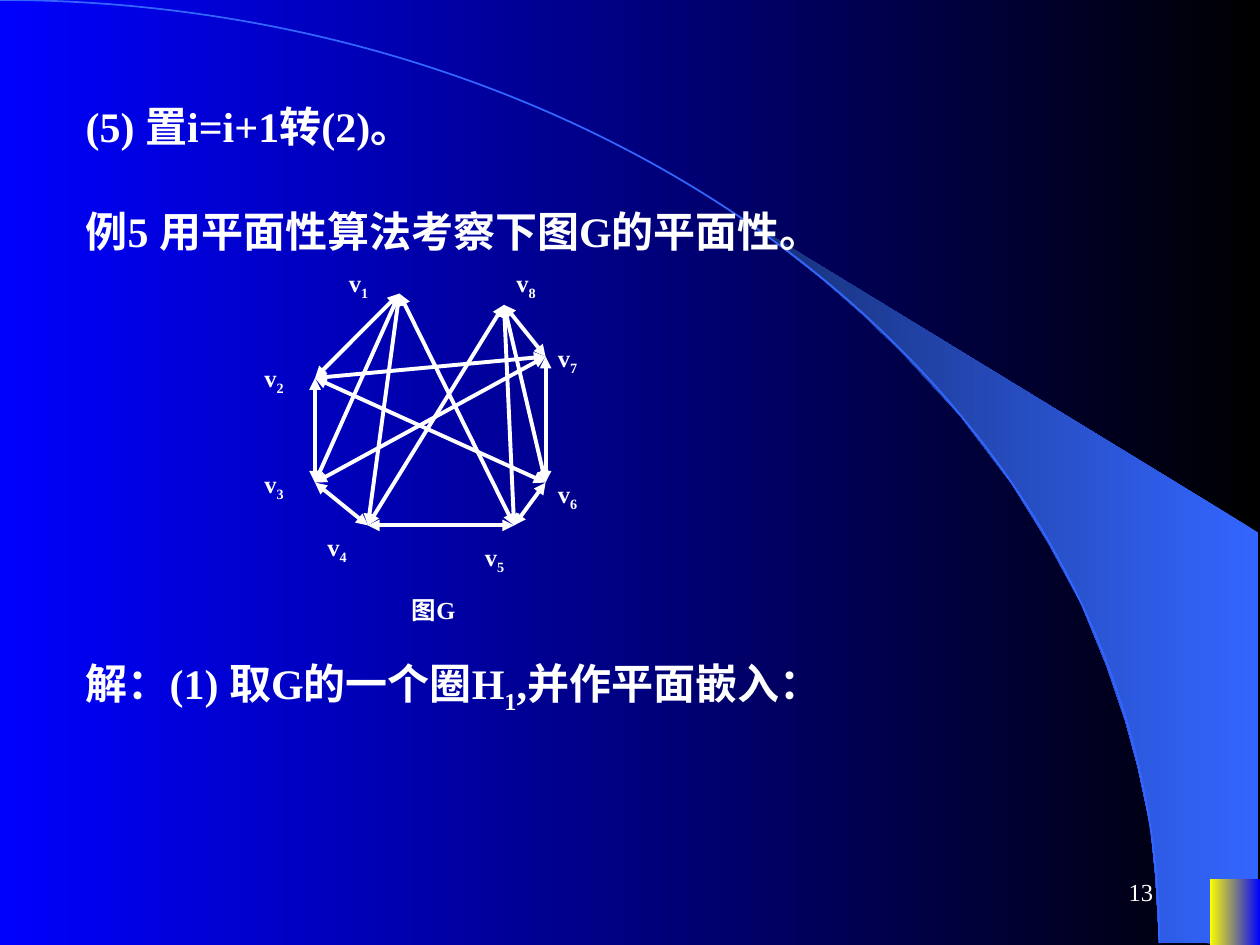
from lxml import etree
from pptx import Presentation
from pptx.dml.color import RGBColor
from pptx.enum.shapes import MSO_CONNECTOR, MSO_SHAPE
from pptx.enum.text import MSO_ANCHOR, MSO_AUTO_SIZE, PP_ALIGN
from pptx.oxml.ns import qn
from pptx.util import Inches, Pt

LINE = MSO_CONNECTOR.STRAIGHT
ARC, RECT = MSO_SHAPE.ARC, MSO_SHAPE.RECTANGLE
TOP, MIDDLE = MSO_ANCHOR.TOP, MSO_ANCHOR.MIDDLE
GROW, FIXED = MSO_AUTO_SIZE.SHAPE_TO_FIT_TEXT, MSO_AUTO_SIZE.NONE
LEFT, RIGHT = PP_ALIGN.LEFT, PP_ALIGN.RIGHT
FONT = "Times New Roman"
WHITE, BLUE, SKY = "FFFFFF", "0000FF", "3366FF"

SWOOSH = [
    (3.31, 5.75), (4.1, 5.76), (4.1, 2.5), (0, 0), (0.35, 0.26), (0.64, 0.49),
    (0.96, 0.77), (1.27, 1.07), (1.73, 1.57), (2.14, 2.11), (2.43, 2.58),
    (2.69, 3.06), (2.89, 3.55), (3.04, 3.99), (3.14, 4.36), (3.24, 4.83),
    (3.28, 5.23),
]
NODES = {
    1: (1.17, 0.33), 2: (0.5, 1), 3: (0.5, 1.83), 4: (0.92, 2.17),
    5: (2.08, 2.17), 6: (2.33, 1.83), 7: (2.33, 0.83), 8: (2, 0.42),
}
EDGES = [
    (1, 2), (2, 3), (3, 4), (4, 5), (5, 6), (7, 6), (2, 7), (7, 8),
    (8, 6), (8, 5), (8, 4), (1, 3), (1, 4), (1, 5), (7, 3), (2, 6),
]
LABELS = {
    1: (0.67, 0.08), 2: (0, 0.83), 3: (0, 1.67), 4: (0.5, 2.17),
    5: (1.75, 2.25), 6: (2.33, 1.75), 7: (2.33, 0.67), 8: (2, 0.08),
}


def paint(hue):
    """Turn a hex string into a colour."""
    return RGBColor.from_string(hue)


def blend(fill, first, last):
    """Give a fill a gradient that runs from right to left."""
    fill.gradient()
    fill.gradient_angle = 180
    for stop, hue, place in zip(fill.gradient_stops, (first, last), (0, 1)):
        stop.color.rgb = paint(hue)
        stop.position = place


def write(shapes, text, box, size=24, bold=True, align=LEFT, anchor=TOP,
          fit=GROW, inset=0.1):
    """Add a text box; every second part between bars is a subscript."""
    frame = shapes.add_textbox(*map(Inches, box)).text_frame
    frame.word_wrap = True
    frame.auto_size = fit
    frame.vertical_anchor = anchor
    frame.margin_left = Inches(inset)
    line = frame.paragraphs[0]
    line.alignment = align
    for order, part in enumerate(text.split("|")):
        run = line.add_run()
        run.text = part
        run.font.name = FONT
        run.font.size = Pt(size)
        run.font.bold = bold
        run.font.color.rgb = paint(WHITE)
        if order % 2:
            run._r.get_or_add_rPr().set("baseline", "-25000")


def join(shapes, start, end):
    """Draw a line with an arrowhead at each end."""
    edge = shapes.add_connector(LINE, *map(Inches, (*start, *end)))
    edge.line.color.rgb = paint(WHITE)
    edge.line.width = Pt(2.25)
    pen = edge.line._get_or_add_ln()
    for tag in ("a:headEnd", "a:tailEnd"):
        etree.SubElement(pen, qn(tag)).set("type", "triangle")
    etree.SubElement(edge._element.spPr, qn("a:effectLst"))


def swoosh(shapes, left, top):
    """Draw the shaded sweep on the right."""
    spots = [(Inches(left + x), Inches(top + y)) for x, y in SWOOSH]
    path = shapes.build_freeform(*spots[0])
    path.add_line_segments(spots[1:], close=True)
    shape = path.convert_to_shape()
    shape.shadow.inherit = False
    blend(shape.fill, SKY, "172F75")
    shape.line.fill.background()


def curve(shapes, box):
    """Draw the quarter arc across the slide."""
    shape = shapes.add_shape(ARC, *map(Inches, box))
    shape.shadow.inherit = False
    shape.fill.background()
    shape.line.color.rgb = paint(SKY)
    shape.line.width = Pt(1)


def corner(shapes, box):
    """Draw the block behind the slide's lower right corner."""
    shape = shapes.add_shape(RECT, *map(Inches, box))
    shape.shadow.inherit = False
    blend(shape.fill, BLUE, "FFFF00")
    shape.line.fill.background()


def graph(shapes, left, top):
    """Draw graph G with its labels and caption."""
    def move(spot):
        """Shift a spot into the graph's box."""
        return left + spot[0], top + spot[1]

    group = shapes.add_group_shape().shapes
    for start, end in EDGES:
        join(group, move(NODES[start]), move(NODES[end]))
    for number, spot in LABELS.items():
        write(group, f"v|{number}", (*move(spot), 0.6, 0.37), size=14)
    write(group, "图G", (*move((1.17, 2.67)), 0.92, 0.34), size=14)


def main():
    """Build the slide and save it."""
    deck = Presentation()
    deck.slide_width, deck.slide_height = Inches(10), Inches(7.5)
    slide = deck.slides.add_slide(deck.slide_layouts[6])
    blend(slide.background.fill, "000000", BLUE)
    shapes = slide.shapes
    swoosh(shapes, 5.89, 1.73)
    curve(shapes, (-9.2, 0, 18.4, 14.97))
    corner(shapes, (9.6, 6.98, 0.4, 0.52))
    write(shapes, "(5) 置i=i+1转(2)。", (0.25, 0.75, 8.92, 0.5), inset=0.43)
    write(shapes, "例5 用平面性算法考察下图G的平面性。",
          (0.25, 1.58, 8.67, 0.5), inset=0.43)
    graph(shapes, 2, 2)
    write(shapes, "解：(1) 取G的一个圈H|1|,并作平面嵌入：",
          (0.25, 5.17, 8.67, 0.56), inset=0.43)
    write(shapes, "13", (7.17, 6.83, 2.08, 0.5), size=14, bold=False,
          align=RIGHT, anchor=MIDDLE, fit=FIXED)
    deck.save("out.pptx")


if __name__ == "__main__":
    main()
